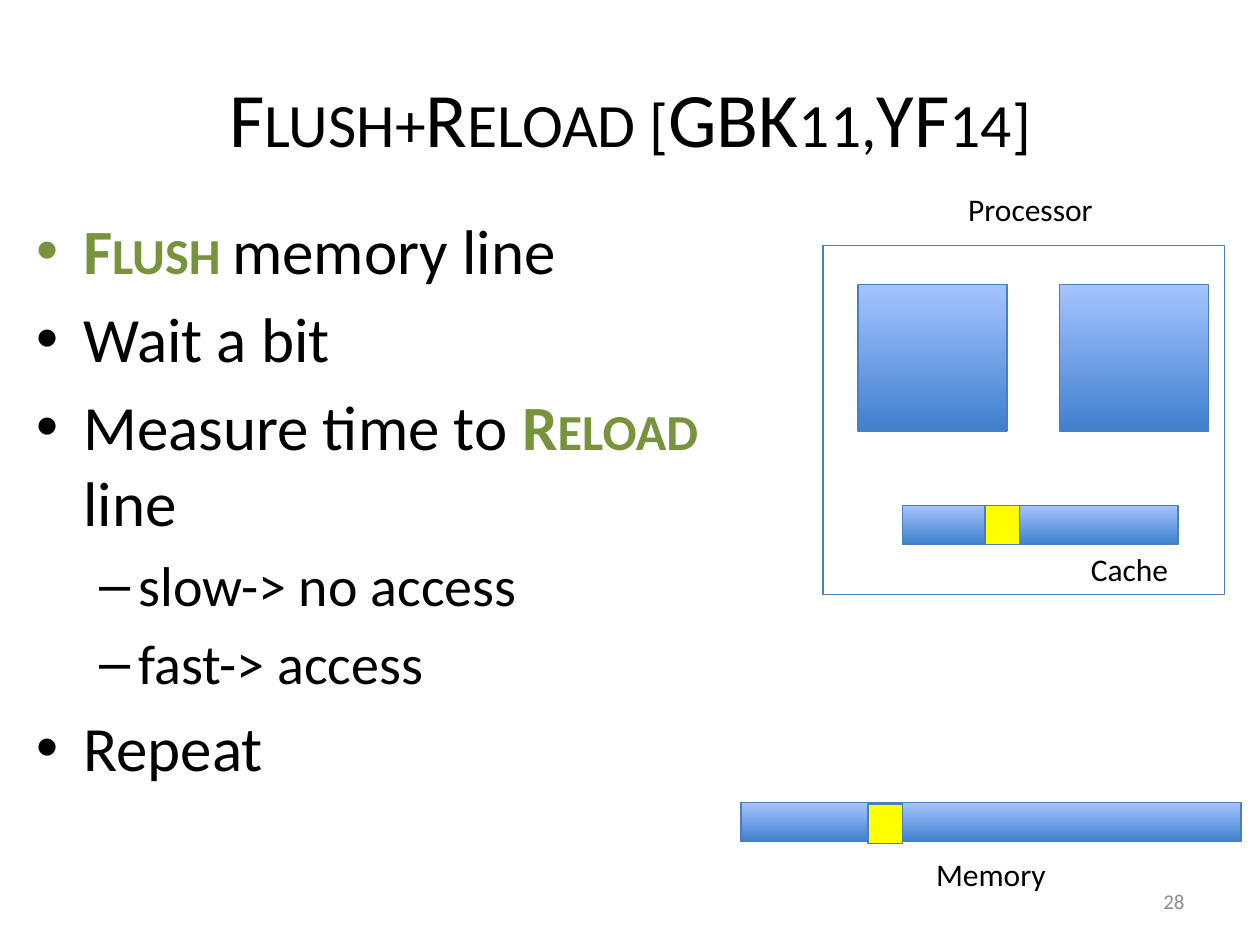
from lxml.etree import SubElement
from pptx import Presentation
from pptx.dml.color import RGBColor
from pptx.enum.shapes import MSO_SHAPE
from pptx.enum.text import MSO_ANCHOR, MSO_AUTO_SIZE, PP_ALIGN
from pptx.oxml.ns import qn
from pptx.util import Cm, Pt

BLACK = RGBColor(0x00, 0x00, 0x00)
GREEN = RGBColor(0x77, 0x93, 0x3C)
GREY = RGBColor(0x8C, 0x8C, 0x8C)
YELLOW = RGBColor(0xFF, 0xFF, 0x00)
OUTLINE = RGBColor(0x4B, 0x7E, 0xBC)
BLUE_DARK = RGBColor(0x3F, 0x80, 0xCE)
BLUE_LIGHT = RGBColor(0xA4, 0xC4, 0xFF)

# Per list level: bullet, font size, left margin and hanging indent in cm
LEVELS = [("•", 36, 0.95, 0.95), ("–", 32, 2.06, 0.79)]


class SlideBuilder:
    font_name = "Calibri"

    def __init__(self, slide):
        self.slide = slide

    def style(self, paragraph, size, color=BLACK):
        font = paragraph.font
        font.name, font.size, font.color.rgb = self.font_name, Pt(size), color

    def small_caps(self, run):
        run.font._element.set("cap", "small")

    def title(self, text, left, top, width, height):
        shape = self.slide.shapes.title
        shape.left, shape.top = Cm(left), Cm(top)
        shape.width, shape.height = Cm(width), Cm(height)
        shape.text_frame.vertical_anchor = MSO_ANCHOR.MIDDLE
        paragraph = shape.text_frame.paragraphs[0]
        paragraph.alignment = PP_ALIGN.CENTER
        run = paragraph.add_run()
        run.text = text
        self.small_caps(run)
        self.style(paragraph, 44)

    def text_box(self, left, top, width, height):
        box = self.slide.shapes.add_textbox(Cm(left), Cm(top), Cm(width), Cm(height))
        box.text_frame.word_wrap = True
        return box.text_frame

    def label(self, text, left, top, width, align=PP_ALIGN.LEFT):
        frame = self.text_box(left, top, width, 1.02)
        frame.word_wrap = False
        frame.auto_size = MSO_AUTO_SIZE.SHAPE_TO_FIT_TEXT
        paragraph = frame.paragraphs[0]
        paragraph.text, paragraph.alignment = text, align
        self.style(paragraph, 18)

    def slide_number(self, text, left, top, width, height):
        frame = self.text_box(left, top, width, height)
        frame.vertical_anchor = MSO_ANCHOR.MIDDLE
        paragraph = frame.paragraphs[0]
        paragraph.text, paragraph.alignment = text, PP_ALIGN.RIGHT
        self.style(paragraph, 12, GREY)

    def bullets(self, items, left, top, width, height):
        """Each item is a level and its runs; a run is text and an emphasis flag."""
        frame = self.text_box(left, top, width, height)
        for index, (level, runs) in enumerate(items):
            paragraph = frame.add_paragraph() if index else frame.paragraphs[0]
            bullet, size, margin, hanging = LEVELS[level]
            paragraph.level = level
            properties = paragraph._p.get_or_add_pPr()
            properties.set("marL", str(Cm(margin)))
            properties.set("indent", str(-Cm(hanging)))
            SubElement(properties, qn("a:buFont")).set("typeface", "Arial")
            SubElement(properties, qn("a:buChar")).set("char", bullet)
            if index:
                paragraph.space_before = Pt(size * 0.2)
            for text, emphasis in runs:
                run = paragraph.add_run()
                run.text = text
                if emphasis:
                    run.font.bold = True
                    run.font.color.rgb = GREEN
                    self.small_caps(run)
            self.style(paragraph, size)

    def rectangle(self, left, top, width, height):
        shape = self.slide.shapes.add_shape(
            MSO_SHAPE.RECTANGLE, Cm(left), Cm(top), Cm(width), Cm(height))
        shape.shadow.inherit = False
        shape.line.color.rgb = OUTLINE
        shape.line.width = Pt(0.75)
        return shape

    def frame(self, *bounds):
        self.rectangle(*bounds).fill.background()

    def block(self, *bounds):
        fill = self.rectangle(*bounds).fill
        fill.gradient()
        fill.gradient_angle = 90
        for stop, position, color in zip(
                fill.gradient_stops, (0, 1), (BLUE_DARK, BLUE_LIGHT)):
            stop.position, stop.color.rgb = position, color

    def memory_line(self, left, top):
        fill = self.rectangle(left, top, 0.69, 0.79).fill
        fill.solid()
        fill.fore_color.rgb = YELLOW


def main():
    presentation = Presentation()
    presentation.slide_width, presentation.slide_height = Cm(25.4), Cm(19.05)
    builder = SlideBuilder(presentation.slides.add_slide(presentation.slide_layouts[5]))

    # Title and attack steps
    builder.title("Flush+Reload [GBK11,YF14]", 1.27, 0.76, 22.86, 3.18)
    builder.bullets([
        (0, [("Flush ", True), ("memory line", False)]),
        (0, [("Wait a bit", False)]),
        (0, [("Measure time to ", False), ("Reload ", True), ("line", False)]),
        (1, [("slow-> no access", False)]),
        (1, [("fast-> access", False)]),
        (0, [("Repeat", False)]),
    ], 0.48, 4.14, 14.45, 13.67)

    # Processor with two cores and a cache
    builder.label("Processor", 19.23, 3.71, 3.05, PP_ALIGN.RIGHT)
    for core_left in (17.3, 21.36):
        builder.block(core_left, 5.74, 3, 2.95)
    builder.block(18.19, 10.19, 5.56, 0.79)
    builder.label("Cache", 21.74, 10.97, 2.08)
    builder.frame(16.59, 4.95, 8.1, 7.04)

    # Memory
    builder.label("Memory", 18.62, 17.12, 2.74)
    builder.block(14.94, 16.18, 10.08, 0.79)

    # The line in memory, its moving duplicate, and its cached state
    for left, top in ((17.5, 16.18), (17.5, 16.21), (19.86, 10.19)):
        builder.memory_line(left, top)

    builder.slide_number("28", 18.21, 17.65, 5.92, 1.02)
    presentation.save("out.pptx")


if __name__ == "__main__":
    main()
